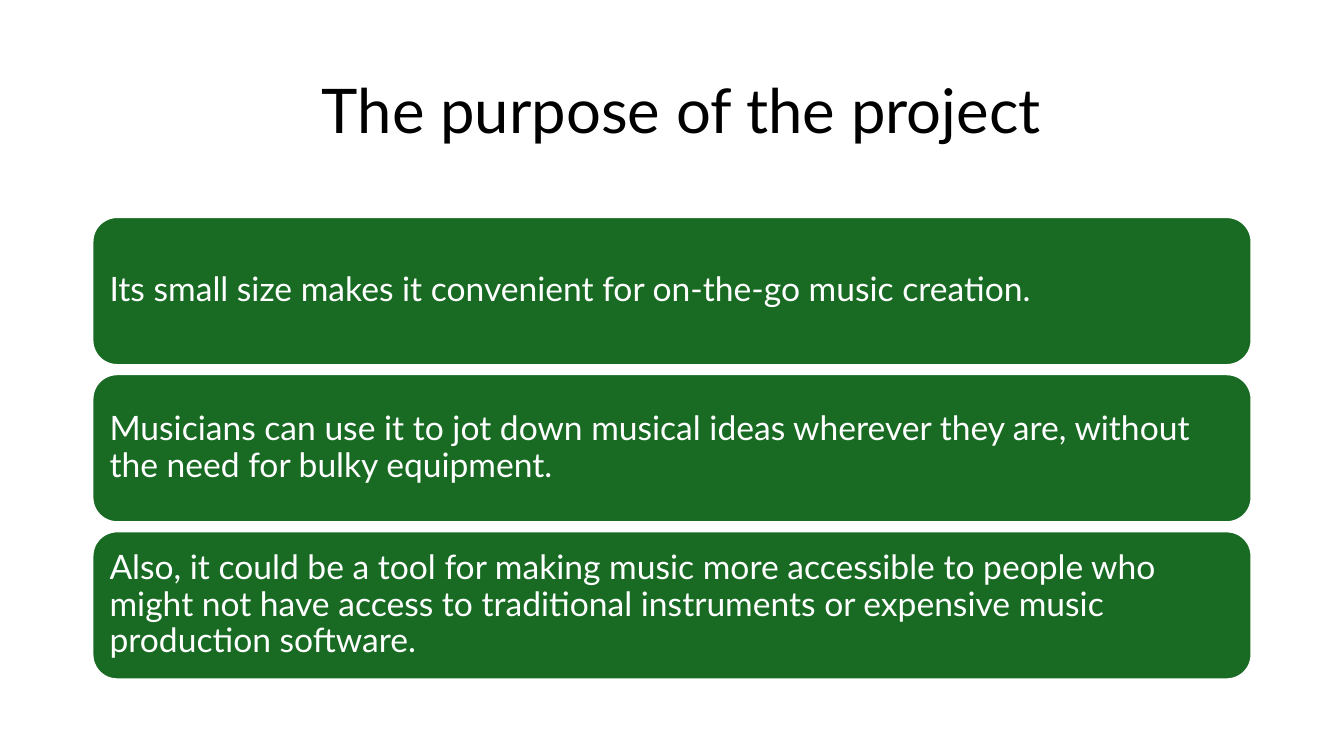
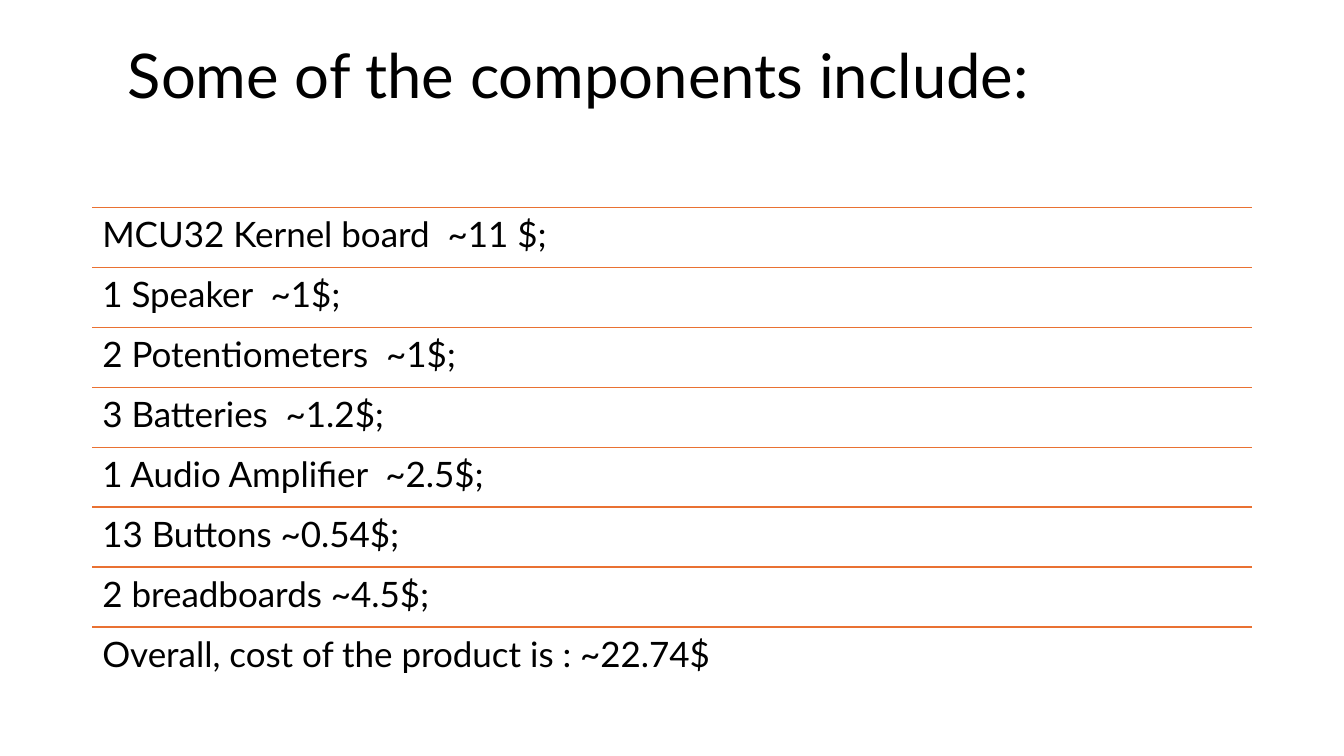
from dataclasses import dataclass

from pptx import Presentation
from pptx.dml.color import RGBColor
from pptx.enum.shapes import MSO_CONNECTOR, MSO_SHAPE
from pptx.enum.text import MSO_ANCHOR, MSO_AUTO_SIZE, PP_ALIGN
from pptx.oxml.ns import qn
from pptx.util import Cm, Pt
from lxml import etree

ROUNDED = MSO_SHAPE.ROUNDED_RECTANGLE
STRAIGHT = MSO_CONNECTOR.STRAIGHT
TOP, MIDDLE = MSO_ANCHOR.TOP, MSO_ANCHOR.MIDDLE
LEFT, CENTER = PP_ALIGN.LEFT, PP_ALIGN.CENTER
NO_AUTOFIT = MSO_AUTO_SIZE.NONE

PURPOSE_TITLE = "The purpose of the project"
PURPOSES = [
    "Its small size makes it convenient for on-the-go music creation.",
    "Musicians can use it to jot down musical ideas wherever they are, "
    "without the need for bulky equipment.",
    "Also, it could be a tool for making music more accessible to people who "
    "might not have access to traditional instruments or expensive music "
    "production software.",
]

COMPONENTS_TITLE = "Some of the components include:"
COMPONENTS = [
    "MCU32 Kernel board  ~11 $;",
    "1 Speaker  ~1$;",
    "2 Potentiometers  ~1$;",
    "3 Batteries  ~1.2$;",
    "1 Audio Amplifier  ~2.5$;",
    "13 Buttons ~0.54$;",
    "2 breadboards ~4.5$;",
    "Overall, cost of the product is : ~22.74$",
]


@dataclass(frozen=True)
class Theme:
    font: str = "Lato"
    ink: RGBColor = RGBColor(0x00, 0x00, 0x00)
    paper: RGBColor = RGBColor(0xFF, 0xFF, 0xFF)
    green: RGBColor = RGBColor(0x19, 0x6B, 0x24)
    orange: RGBColor = RGBColor(0xE9, 0x71, 0x32)
    title_size: Pt = Pt(44)
    card_size: Pt = Pt(24)
    row_size: Pt = Pt(25)
    card_line: Pt = Pt(1.5)
    rule_line: Pt = Pt(1)
    line_spacing: float = 0.9


THEME = Theme()

SLIDE_W, SLIDE_H = Cm(33.87), Cm(19.05)
CONTENT_W = Cm(29.21)
CONTENT_X = (SLIDE_W - CONTENT_W) // 2
TITLE_Y, TITLE_H = Cm(1.02), Cm(3.68)
CARDS_Y, CARD_H, CARD_GAP = Cm(5.47), Cm(3.73), Cm(0.23)
ROWS_Y, ROW_H = Cm(5.23), Cm(1.51)
INSET, TITLE_INSET = Cm(0.25), Cm(0.13)


def write(frame, text, size, color, anchor, align=LEFT, inset_x=INSET, inset_y=INSET):
    frame.text = text
    frame.word_wrap = True
    frame.auto_size = NO_AUTOFIT
    frame.vertical_anchor = anchor
    frame.margin_left, frame.margin_right = inset_x, INSET
    frame.margin_top = frame.margin_bottom = inset_y
    for paragraph in frame.paragraphs:
        paragraph.alignment = align
        paragraph.line_spacing = THEME.line_spacing
        for run in paragraph.runs:
            run.font.name = THEME.font
            run.font.size = size
            run.font.color.rgb = color


def add_titled_slide(deck, layout, title, anchor, align, inset_x):
    slide = deck.slides.add_slide(layout)
    write(slide.shapes.title.text_frame, title, THEME.title_size, THEME.ink,
          anchor, align, inset_x, TITLE_INSET)
    return slide


def add_card(slide, y, text):
    card = slide.shapes.add_shape(ROUNDED, CONTENT_X, y, CONTENT_W, CARD_H)
    card.shadow.inherit = False
    card.fill.solid()
    card.fill.fore_color.rgb = THEME.green
    card.line.color.rgb = THEME.paper
    card.line.width = THEME.card_line
    write(card.text_frame, text, THEME.card_size, THEME.paper, MIDDLE)


def add_row(slide, y, text):
    rule = slide.shapes.add_connector(STRAIGHT, CONTENT_X, y, CONTENT_X + CONTENT_W, y)
    rule.line.color.rgb = THEME.orange
    rule.line.width = THEME.rule_line
    etree.SubElement(rule._element.spPr, qn("a:effectLst"))
    entry = slide.shapes.add_textbox(CONTENT_X, y, CONTENT_W, ROW_H)
    write(entry.text_frame, text, THEME.row_size, THEME.ink, TOP)


def main():
    deck = Presentation()
    deck.slide_width, deck.slide_height = SLIDE_W, SLIDE_H
    layout = deck.slide_layouts.get_by_name("Title Only")
    heading = layout.placeholders[0]
    heading.left, heading.top = CONTENT_X, TITLE_Y
    heading.width, heading.height = CONTENT_W, TITLE_H

    purpose = add_titled_slide(deck, layout, PURPOSE_TITLE, MIDDLE, CENTER, Cm(0.74))
    for i, text in enumerate(PURPOSES):
        add_card(purpose, CARDS_Y + i * (CARD_H + CARD_GAP), text)

    components = add_titled_slide(deck, layout, COMPONENTS_TITLE, TOP, LEFT, Cm(0.89))
    for i, text in enumerate(COMPONENTS):
        add_row(components, ROWS_Y + i * ROW_H, text)

    deck.save("out.pptx")


if __name__ == "__main__":
    main()
